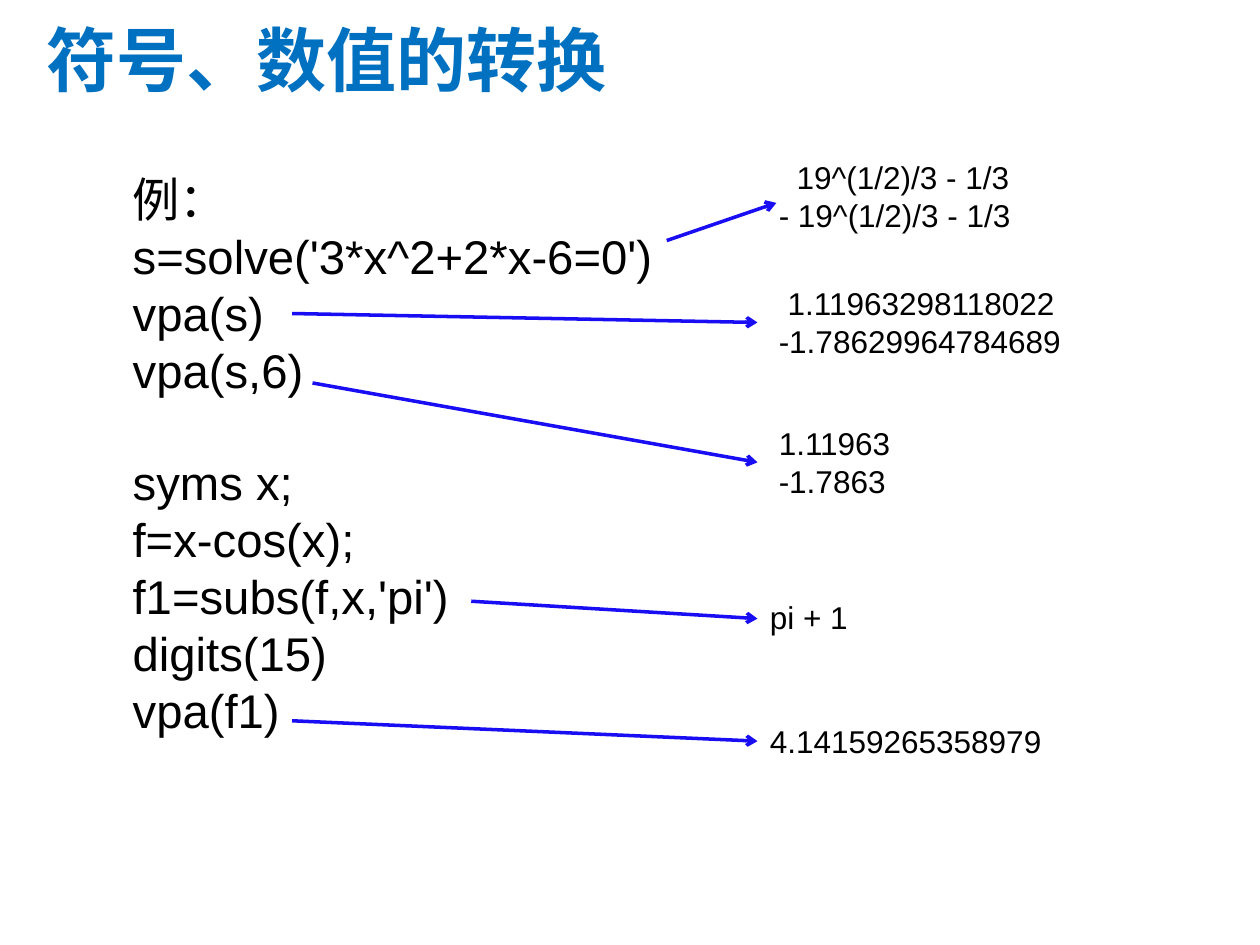
"""Build a slide on converting between symbolic and numeric values."""
import pptx
import pptx.dml.color
import pptx.enum.shapes
import pptx.enum.text
import pptx.oxml
import pptx.oxml.ns
import pptx.util

Cm, Pt = pptx.util.Cm, pptx.util.Pt
RGBColor = pptx.dml.color.RGBColor
BLACK = RGBColor(0x00, 0x00, 0x00)
HEADING_BLUE = RGBColor(0x00, 0x70, 0xC0)
ARROW_BLUE = RGBColor(0x18, 0x0D, 0xF3)

HEADING = "符号、数值的转换"
CODE_BLOCKS = [
    ["例：", "s=solve('3*x^2+2*x-6=0')", "vpa(s)", "vpa(s,6)"],
    ["syms x;", "f=x-cos(x);", "f1=subs(f,x,'pi')", "digits(15)", "vpa(f1)"],
]
RESULTS = [
    {"top": 3.07, "lines": [("19^(1/2)/3 - 1/3", 3), ("- 19^(1/2)/3 - 1/3", 1)],
     "arrow": (13.44, 4.85, 15.65, 4.09)},
    {"top": 5.61, "lines": [("1.11963298118022", 2), ("-1.78629964784689", 1)],
     "arrow": (5.89, 6.32, 15.27, 6.5)},
    {"top": 8.43, "lines": [("1.11963", 1), ("-1.7863", 1)],
     "arrow": (6.3, 7.72, 15.27, 9.32)},
    {"top": 11.94, "lines": [("pi + 1", 0)],
     "arrow": (9.5, 12.12, 15.27, 12.47)},
    {"top": 14.43, "lines": [("4.14159265358979", 0)],
     "arrow": (5.89, 14.53, 15.27, 14.94)},
]
RESULT_LEFT, RESULT_WIDTH = 15.27, 7.06
RESULT_LINE, RESULT_PADDING = 0.76, 0.26
INDENT_STEP = 0.18
CODE_GAP, BLOCK_GAP = 6.6, 38

HEADING_FONT = {"name": "Arial", "size": Pt(40), "bold": True}
CODE_FONT = {"name": "Arial", "size": Pt(27)}
RESULT_FONT = {"name": "Arial", "size": Pt(18)}
LEFT = {"alignment": pptx.enum.text.PP_ALIGN.LEFT}
CODE_PARAGRAPH = {**LEFT, "line_spacing": 0.8}
FRAME = {"word_wrap": True, "auto_size": pptx.enum.text.MSO_AUTO_SIZE.NONE}


def apply(target, values):
    for name, value in values.items():
        setattr(target, name, value)


def place(shape, left, top, width, height):
    apply(shape, {"left": Cm(left), "top": Cm(top),
                  "width": Cm(width), "height": Cm(height)})
    apply(shape.text_frame, FRAME)


def write(frame, lines, font, color, paragraph_format):
    for number, (text, margin, indent, gap) in enumerate(lines):
        paragraph = frame.add_paragraph() if number else frame.paragraphs[0]
        apply(paragraph, {**paragraph_format, "space_before": Pt(gap)})
        properties = paragraph._p.get_or_add_pPr()
        properties.set("marL", str(Cm(margin)))
        properties.set("indent", str(Cm(indent)))
        run = paragraph.add_run()
        run.text = text
        apply(run.font, font)
        run.font.color.rgb = color


def draw_arrow(slide, ends):
    arrow = slide.shapes.add_connector(
        pptx.enum.shapes.MSO_CONNECTOR.STRAIGHT, *map(Cm, ends))
    arrow.line.color.rgb = ARROW_BLUE
    arrow.line.width = Pt(2)
    namespace = pptx.oxml.ns.nsdecls("a")
    arrow.line._get_or_add_ln().append(
        pptx.oxml.parse_xml(f'<a:tailEnd {namespace} type="arrow"/>'))
    arrow._element.spPr.append(
        pptx.oxml.parse_xml(f"<a:effectLst {namespace}/>"))


deck = pptx.Presentation()
apply(deck, {"slide_width": Cm(25.4), "slide_height": Cm(19.05)})
slide = deck.slides.add_slide(deck.slide_layouts[0])
heading, code = slide.placeholders

place(heading, 0.69, 0, 26.01, 2.34)
heading.text_frame.vertical_anchor = pptx.enum.text.MSO_ANCHOR.MIDDLE
write(heading.text_frame, [(HEADING, 0, 0, 0)], HEADING_FONT, HEADING_BLUE, LEFT)

place(code, 2.11, 3.53, 11.84, 13.41)
code.text_frame.vertical_anchor = pptx.enum.text.MSO_ANCHOR.TOP
code_lines = [
    (text, 1.02, -0.71, BLOCK_GAP if block and not row else CODE_GAP)
    for block, texts in enumerate(CODE_BLOCKS)
    for row, text in enumerate(texts)
]
write(code.text_frame, code_lines, CODE_FONT, BLACK, CODE_PARAGRAPH)

for result in RESULTS:
    lines = [(text, steps * INDENT_STEP, 0, 0) for text, steps in result["lines"]]
    output = slide.shapes.add_textbox(0, 0, 0, 0)
    place(output, RESULT_LEFT, result["top"], RESULT_WIDTH,
          len(lines) * RESULT_LINE + RESULT_PADDING)
    write(output.text_frame, lines, RESULT_FONT, BLACK, LEFT)

for result in RESULTS:
    draw_arrow(slide, result["arrow"])

deck.save("out.pptx")
